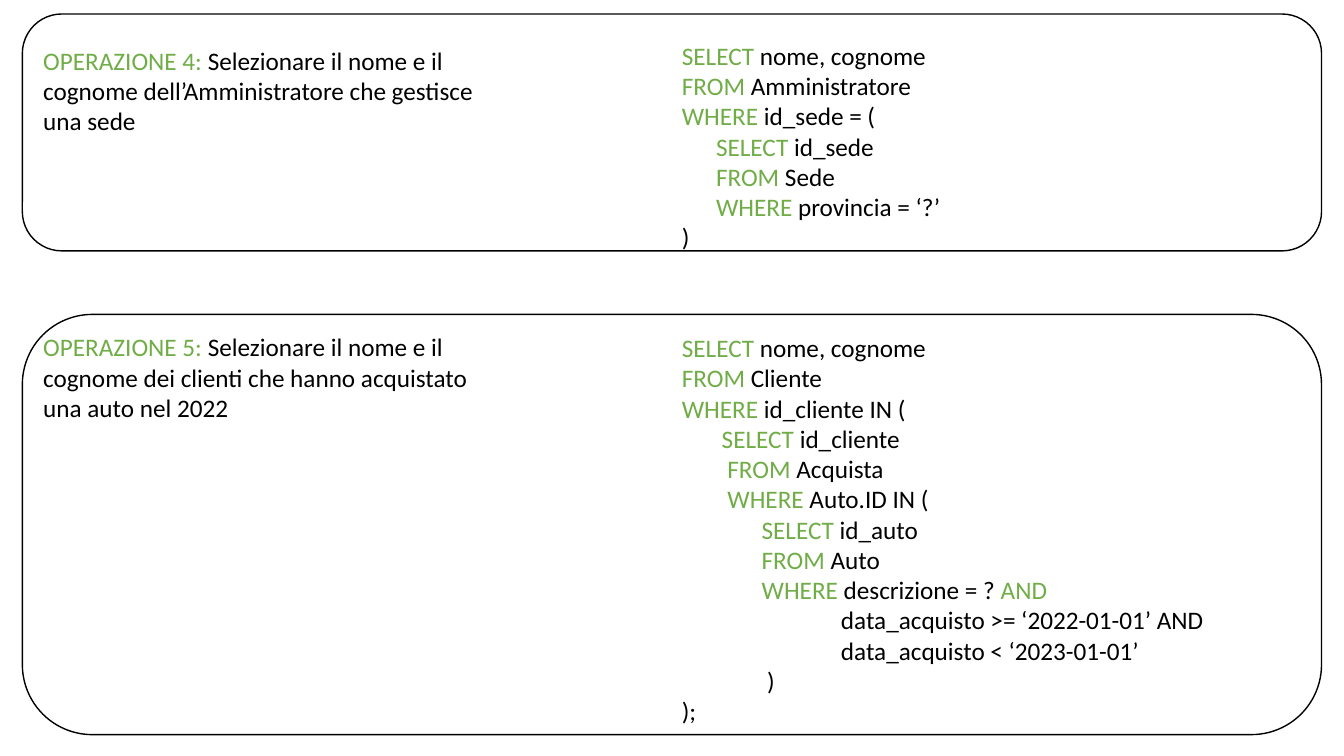
from pptx import Presentation
from pptx.dml.color import RGBColor
from pptx.enum.shapes import MSO_SHAPE
from pptx.enum.text import MSO_AUTO_SIZE
from pptx.util import Pt

QUERY_FOUR = """*SELECT* nome, cognome
*FROM* Amministratore
*WHERE* id_sede = (
      *SELECT* id_sede
      *FROM* Sede
      *WHERE* provincia = ‘?’
)"""

QUERY_FIVE = """*SELECT* nome, cognome
*FROM* Cliente
*WHERE* id_cliente IN (
       *SELECT* id_cliente
        *FROM* Acquista
        *WHERE* Auto.ID IN (
              *SELECT* id_auto
              *FROM* Auto
              *WHERE* descrizione = ? *AND*
                            data_acquisto >= ‘2022-01-01’ AND
                            data_acquisto < ‘2023-01-01’
               )
);"""

TASK_FOUR = "*OPERAZIONE 4:* Selezionare il nome e il cognome dell’Amministratore che gestisce una sede"
TASK_FIVE = "*OPERAZIONE 5: *Selezionare il nome e il cognome dei clienti che hanno acquistato una auto nel 2022"


def color(value):
    return RGBColor.from_string(value)


def add_span(para, text, *, font, size, fill):
    span = para.add_run()
    span.text = text
    span.font.name = font
    span.font.size = Pt(size)
    span.font.color.rgb = color(fill)


class OperationPage:
    font = "Calibri"
    size = 18
    ink = "000000"
    accent = "70AD47"
    paper = "FFFFFF"

    def __init__(self, page):
        self.page = page

    def panel(self, left, top, width, height):
        box = self.page.shapes.add_shape(
            MSO_SHAPE.ROUNDED_RECTANGLE, Pt(left), Pt(top), Pt(width), Pt(height))
        box.shadow.inherit = False
        box.fill.solid()
        box.fill.fore_color.rgb = color(self.paper)
        box.line.color.rgb = color(self.ink)
        box.line.width = Pt(1)

    def text(self, content, left, top, width, height):
        box = self.page.shapes.add_textbox(Pt(left), Pt(top), Pt(width), Pt(height))
        frame = box.text_frame
        frame.word_wrap = True
        frame.auto_size = MSO_AUTO_SIZE.SHAPE_TO_FIT_TEXT
        for number, line in enumerate(content.split("\n")):
            para = frame.add_paragraph() if number else frame.paragraphs[0]
            for index, part in enumerate(line.split("*")):
                if part:
                    fill = self.accent if index % 2 else self.ink
                    add_span(para, part, font=self.font, size=self.size, fill=fill)


def main():
    deck = Presentation()
    deck.slide_width, deck.slide_height = Pt(960), Pt(540)
    operations = OperationPage(deck.slides.add_slide(deck.slide_layouts[6]))

    operations.panel(16, 224.6, 928, 300.2)
    operations.panel(16, 10, 928, 169.2)
    operations.text(TASK_FOUR, 23.8, 28.8, 332, 72.7)
    operations.text(QUERY_FOUR, 480, 25.2, 216, 160)
    operations.text(TASK_FIVE, 23.8, 233.3, 332, 72.7)
    operations.text(QUERY_FIVE, 480, 234, 460, 291)

    deck.save("out.pptx")


if __name__ == "__main__":
    main()
